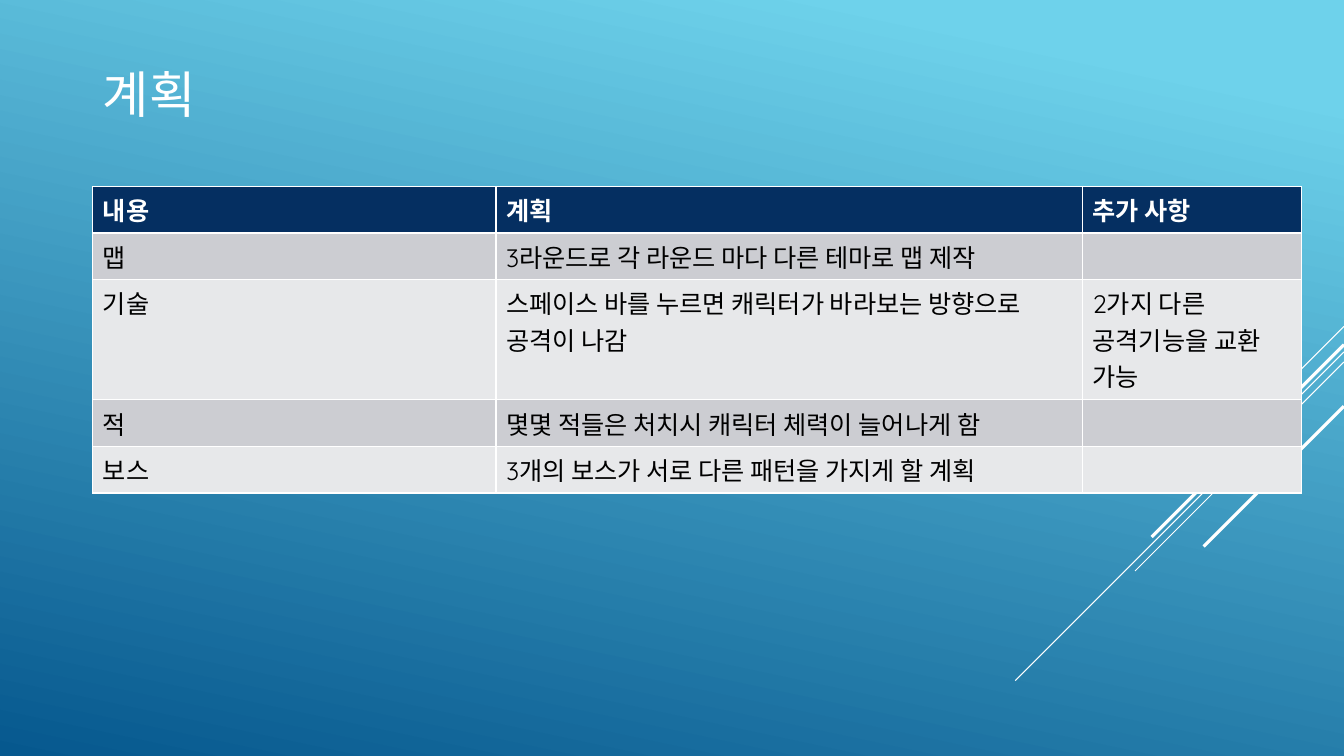
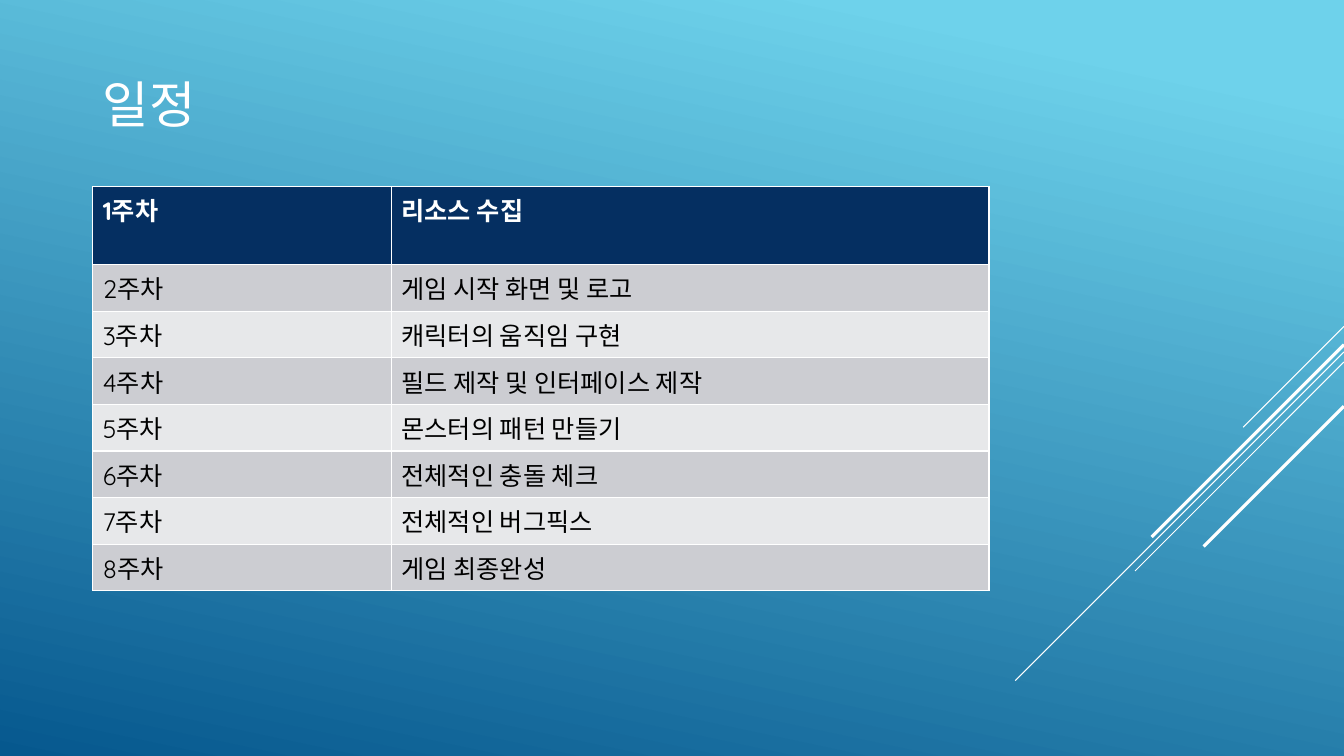
from dataclasses import dataclass

from lxml.etree import SubElement
from pptx import Presentation
from pptx.dml.color import RGBColor as RGB
from pptx.enum.shapes import MSO_CONNECTOR as CONNECTOR
from pptx.enum.text import MSO_ANCHOR as ANCHOR, MSO_AUTO_SIZE as AUTO, PP_ALIGN as ALIGN
from pptx.oxml.ns import qn
from pptx.util import Pt

WIDTH, HEIGHT = 960, 540
TITLE_ONLY = 5


@dataclass(frozen=True)
class Theme:
    font: str = "Quicksand"
    title_size: int = 36
    table_size: int = 18
    white: RGB = RGB(0xFF, 0xFF, 0xFF)
    black: RGB = RGB(0, 0, 0)
    header: RGB = RGB(0x05, 0x2F, 0x61)
    bands: tuple = (RGB(0xCC, 0xCD, 0xD2), RGB(0xE7, 0xE8, 0xEA))
    sky: RGB = RGB(0x6E, 0xD2, 0xEB)
    sea: RGB = RGB(0x06, 0x58, 0x8E)


THEME = Theme()
LEFT, TABLE_TOP = 66.24, 133.2
TITLE_WIDTH, TITLE_HEIGHT = 672, 118.8
ROW = 33.2

# Diagonals fall at 45 degrees from the right edge: start height, run, line width
DIAGONALS = [
    (233.2, 72, 0.75),
    (251.4, 234.8, 0.75),
    (258.6, 149.2, 0.75),
    (246.2, 137.4, 2.25),
    (290.2, 100.2, 2.25),
]

PLAN = [
    ["내용", "계획", "추가 사항"],
    ["맵", "3라운드로 각 라운드 마다 다른 테마로 맵 제작", ""],
    ["기술", "스페이스 바를 누르면 캐릭터가 바라보는 방향으로 공격이 나감",
     "2가지 다른 공격기능을 교환 가능"],
    ["적", "몇몇 적들은 처치시 캐릭터 체력이 늘어나게 함", ""],
    ["보스", "3개의 보스가 서로 다른 패턴을 가지게 할 계획", ""],
]

TASKS = [
    "리소스 수집",
    "게임 시작 화면 및 로고",
    "캐릭터의 움직임 구현",
    "필드 제작 및 인터페이스 제작",
    "몬스터의 패턴 만들기",
    "전체적인 충돌 체크",
    "전체적인 버그픽스",
    "게임 최종완성",
]
SCHEDULE = [[f"{week}주차", task] for week, task in enumerate(TASKS, 1)]


def set_font(font, size, color, bold=False):
    values = {"name": THEME.font, "size": Pt(size), "bold": bold}
    for name, value in values.items():
        setattr(font, name, value)
    font.color.rgb = color


def paint_background(master):
    fill = master.background.fill
    fill.gradient()
    fill.gradient_angle = 258
    for stop, position, color in zip(fill.gradient_stops, (0.1, 1), (THEME.sky, THEME.sea)):
        stop.position = position
        stop.color.rgb = color


def add_diagonals(slide, right):
    for top, run, width in DIAGONALS:
        line = slide.shapes.add_connector(
            CONNECTOR.STRAIGHT, Pt(right), Pt(top), Pt(right - run), Pt(top + run))
        line.line.color.rgb = THEME.white
        line.line.width = Pt(width)
        SubElement(line._element.spPr, qn("a:effectLst"))


def set_title(slide, text, left, top):
    title = slide.shapes.title
    box = {"left": left, "top": top, "width": TITLE_WIDTH, "height": TITLE_HEIGHT}
    for name, value in box.items():
        setattr(title, name, Pt(value))
    tf = title.text_frame
    tf.text = text
    for name, value in {"auto_size": AUTO.NONE, "vertical_anchor": ANCHOR.MIDDLE,
                        "word_wrap": True}.items():
        setattr(tf, name, value)
    p = tf.paragraphs[0]
    p.alignment = ALIGN.LEFT
    set_font(p.runs[0].font, THEME.title_size, THEME.white)


def add_table(slide, rows, left, top, widths, heights):
    table = slide.shapes.add_table(
        len(rows), len(widths), Pt(left), Pt(top), Pt(sum(widths)), Pt(sum(heights))).table
    for column, width in zip(table.columns, widths):
        column.width = Pt(width)
    for i, (row, height) in enumerate(zip(rows, heights)):
        table.rows[i].height = Pt(height)
        is_header = i == 0
        for j, text in enumerate(row):
            cell = table.cell(i, j)
            cell.fill.solid()
            cell.fill.fore_color.rgb = THEME.header if is_header else THEME.bands[(i - 1) % 2]
            p = cell.text_frame.paragraphs[0]
            if text:
                p.text = text
                set_font(p.runs[0].font, THEME.table_size,
                         THEME.white if is_header else THEME.black, is_header)


def add_table_slide(prs, title, title_top, rows, widths, heights):
    slide = prs.slides.add_slide(prs.slide_layouts[TITLE_ONLY])
    add_diagonals(slide, WIDTH)
    set_title(slide, title, LEFT, title_top)
    add_table(slide, rows, LEFT, TABLE_TOP, widths, heights)


def main():
    prs = Presentation()
    prs.slide_width, prs.slide_height = Pt(WIDTH), Pt(HEIGHT)
    paint_background(prs.slide_master)
    add_table_slide(prs, "계획", 7.2, PLAN, [288, 419, 156.2],
                    [ROW, ROW, 85.8, ROW, ROW])
    add_table_slide(prs, "일정", 14.4, SCHEDULE, [213.4, 426.8],
                    [55.8] + [ROW] * (len(SCHEDULE) - 1))
    prs.save("out.pptx")


if __name__ == "__main__":
    main()
